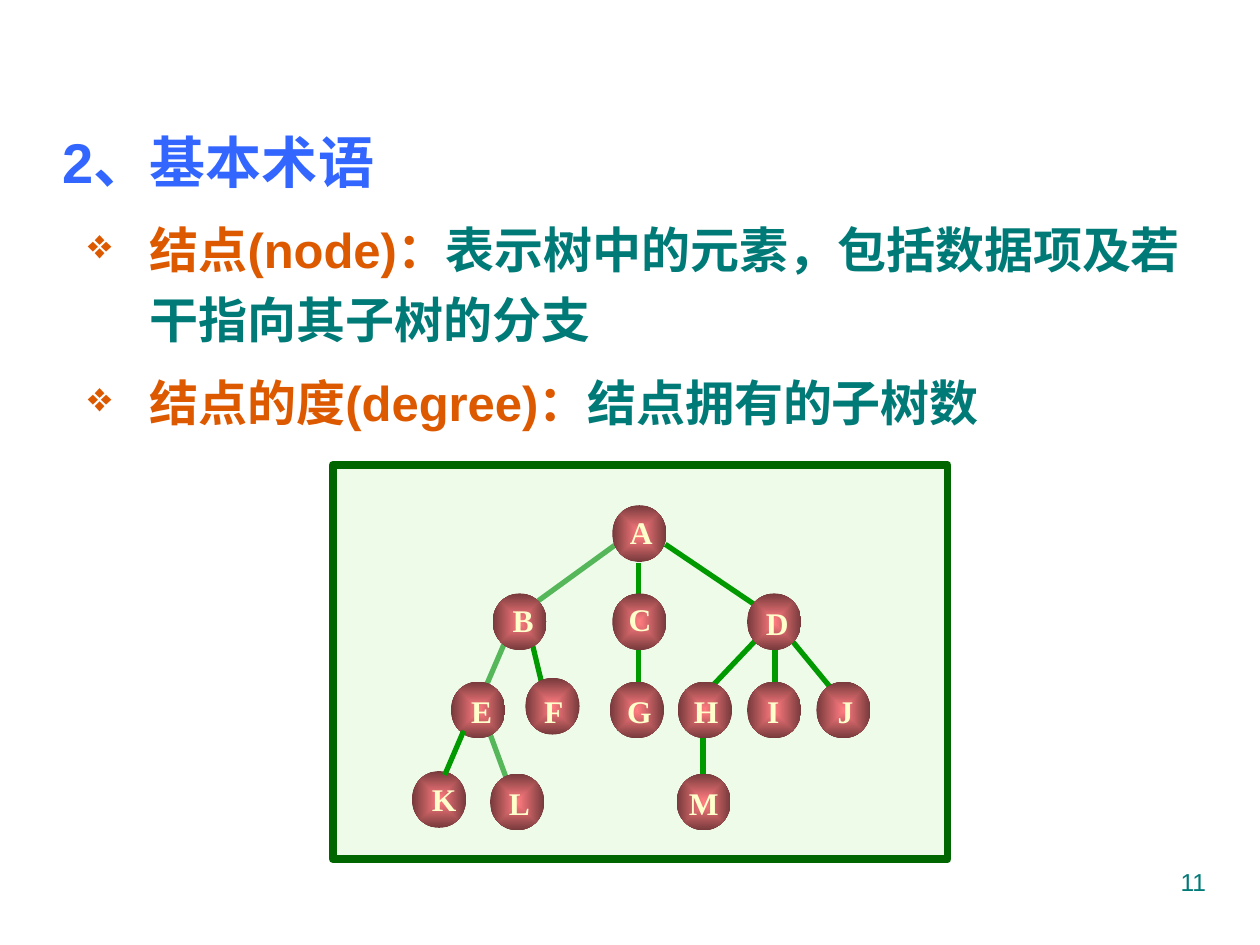
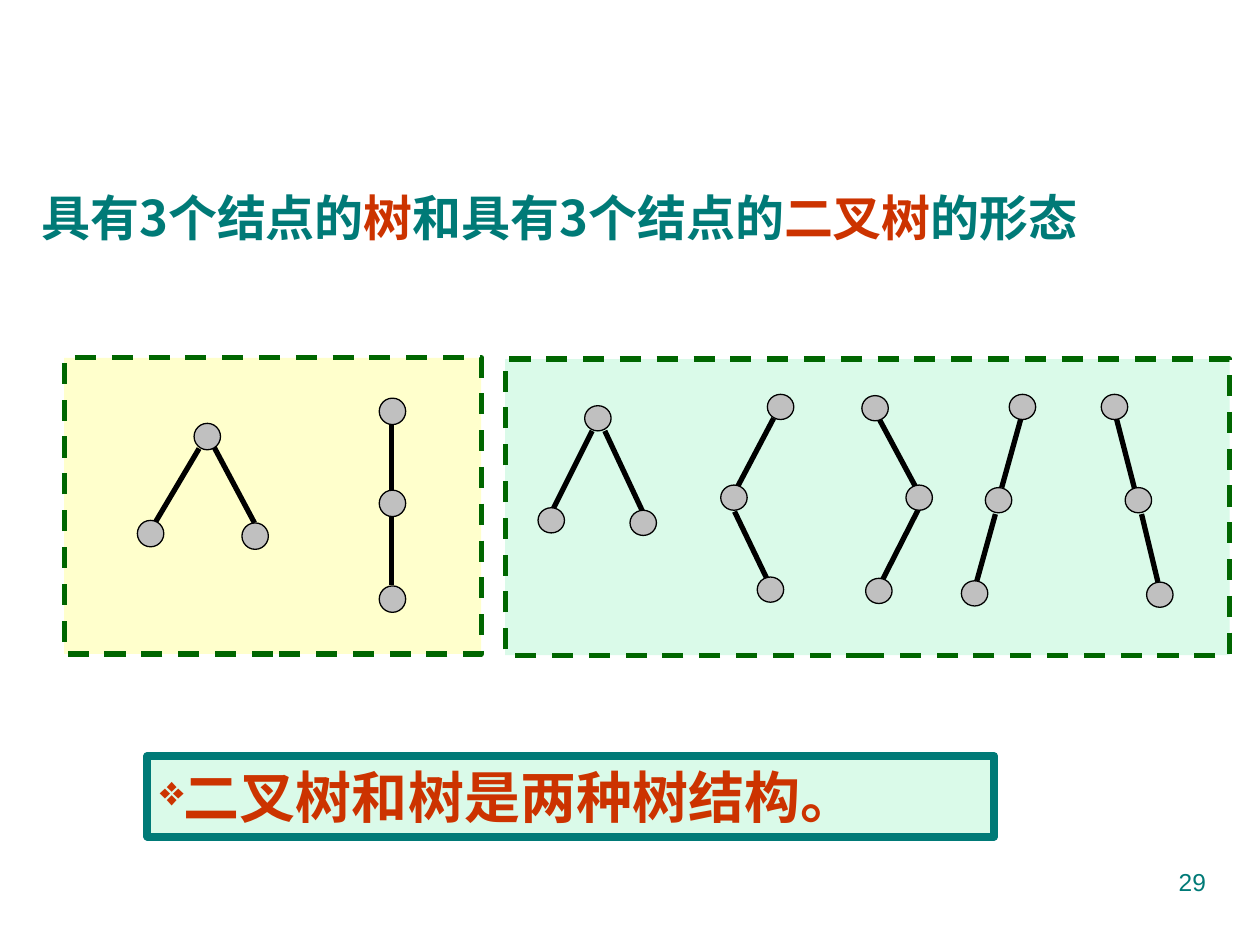
from lxml import etree
from pptx import Presentation
from pptx.dml.color import RGBColor
from pptx.enum.dml import MSO_LINE
from pptx.enum.shapes import MSO_CONNECTOR, MSO_SHAPE
from pptx.enum.text import MSO_ANCHOR, PP_ALIGN
from pptx.oxml import parse_xml
from pptx.oxml.ns import nsdecls, qn
from pptx.util import Inches, Pt

COLORS = {
    "heading": "3366FF", "term": "DC5900", "text": "007A77", "accent": "CC3300",
    "frame": "006600", "tree_panel": "EEFBE9", "mint": "DAFAE9", "cream": "FFFFCC",
    "branch": "009900", "trail": "55B75A", "node_core": "FF7C80", "node_rim": "76393B",
    "black": "000000", "gray": "C0C0C0",
}
SANS, SERIF, CJK = "Arial", "Times New Roman", "Noto Sans CJK SC"


def rgb(color):
    return RGBColor.from_string(COLORS[color])


class Deck:
    """Holds the style of the deck and the slide being built."""

    def __init__(self):
        self.prs = Presentation()
        self.prs.slide_width, self.prs.slide_height = Inches(10), Inches(7.5)
        self.slide = None

    def new_slide(self, number):
        self.slide = self.prs.slides.add_slide(self.prs.slide_layouts[6])
        footer = self.text_box(7.17, 6.83, 2.5, 0.52)
        self.set_text(footer.paragraphs[0], [(str(number), "text")], 14, SANS,
                      bold=False, align=PP_ALIGN.RIGHT)

    def text_box(self, left, top, width, height, anchor=MSO_ANCHOR.TOP):
        box = self.slide.shapes.add_textbox(*map(Inches, (left, top, width, height)))
        box.text_frame.word_wrap = True
        box.text_frame.vertical_anchor = anchor
        return box.text_frame

    def set_text(self, paragraph, runs, size, font, bold=True, align=PP_ALIGN.LEFT):
        """Fill a paragraph with (text, color) runs in one font."""
        paragraph.alignment = align
        paragraph.font.size, paragraph.font.bold = Pt(size), bold
        paragraph.font.name = font
        latin = paragraph._p.pPr.find(qn("a:defRPr")).find(qn("a:latin"))
        latin.addnext(parse_xml(f'<a:ea {nsdecls("a")} typeface="{CJK}"/>'))
        for text, color in runs:
            run = paragraph.add_run()
            run.text = text
            run.font.color.rgb = rgb(color)

    def indent(self, paragraph, margin, first=0):
        props = paragraph._p.get_or_add_pPr()
        props.set("marL", str(Inches(margin)))
        props.set("indent", str(Inches(first)))

    def bullet(self, paragraph, color, percent):
        props = paragraph._p.get_or_add_pPr()
        clr = etree.SubElement(props, qn("a:buClr"))
        etree.SubElement(clr, qn("a:srgbClr"), val=COLORS[color])
        etree.SubElement(props, qn("a:buSzPct"), val=str(percent * 1000))
        etree.SubElement(props, qn("a:buChar"), char="❖")

    def shape(self, kind, left, top, width, height, fill=None, line=None,
              weight=1, dashed=False):
        shape = self.slide.shapes.add_shape(
            kind, *map(Inches, (left, top, width, height)))
        shape.shadow.inherit = False
        if fill:
            shape.fill.solid()
            shape.fill.fore_color.rgb = rgb(fill)
        if line:
            shape.line.color.rgb = rgb(line)
            shape.line.width = Pt(weight)
            if dashed:
                shape.line.dash_style = MSO_LINE.DASH
        else:
            shape.line.fill.background()
        return shape

    def panel(self, left, top, width, height, fill, line, weight, dashed=False):
        return self.shape(MSO_SHAPE.RECTANGLE, left, top, width, height,
                          fill, line, weight, dashed)

    def glow_node(self, left, top):
        node = self.shape(MSO_SHAPE.OVAL, left, top, 0.43, 0.45)
        stops = "".join(
            f'<a:gs pos="{pos}"><a:srgbClr val="{COLORS[color]}"/></a:gs>'
            for pos, color in ((0, "node_core"), (100000, "node_rim")))
        gradient = parse_xml(
            f'<a:gradFill {nsdecls("a")} rotWithShape="0"><a:gsLst>{stops}</a:gsLst>'
            '<a:path path="rect"><a:fillToRect l="50000" t="50000" r="50000" b="50000"/>'
            '</a:path></a:gradFill>')
        node._element.spPr.find(qn("a:prstGeom")).addnext(gradient)

    def edge(self, x1, y1, x2, y2, color):
        line = self.slide.shapes.add_connector(
            MSO_CONNECTOR.STRAIGHT, *map(Inches, (x1, y1, x2, y2)))
        line.line.color.rgb = rgb(color)
        line.line.width = Pt(3)
        etree.SubElement(line._element.spPr, qn("a:effectLst"))

    def small_tree(self, nodes, edges, height):
        for ends in edges:
            self.edge(*ends, "black")
        for left, top in nodes:
            self.shape(MSO_SHAPE.OVAL, left, top, 0.21, height, "gray", "black", 0.75)


# Node letter: node left, node top, label left, label top
TREE_NODES = {
    "A": (4.86, 4.01, 4.9, 4.02),
    "B": (3.91, 4.71, 3.97, 4.72), "C": (4.86, 4.71, 4.89, 4.71),
    "D": (5.93, 4.71, 5.98, 4.74),
    "E": (3.58, 5.41, 3.64, 5.44), "F": (4.17, 5.38, 4.22, 5.44),
    "G": (4.84, 5.41, 4.88, 5.44), "H": (5.38, 5.41, 5.41, 5.44),
    "I": (5.93, 5.41, 5.99, 5.44), "J": (6.48, 5.41, 6.55, 5.44),
    "K": (3.27, 6.12, 3.33, 6.14), "L": (3.89, 6.14, 3.94, 6.17),
    "M": (5.37, 6.14, 5.37, 6.17),
}
TREE_BRANCHES = [
    (6.29, 5.09, 6.66, 5.54), (5.99, 5.09, 5.62, 5.48), (6.15, 5.16, 6.15, 5.48),
    (5.58, 5.86, 5.58, 6.24), (5.28, 4.32, 6.05, 4.84), (5.07, 4.47, 5.07, 5.86),
    (4.22, 5.09, 4.33, 5.55),
]
TRAIL_BRANCHES = [
    (4.89, 4.32, 4.27, 4.77), (4.01, 5.09, 3.86, 5.44), (3.88, 5.8, 4.02, 6.18),
]
E_TO_K = (3.68, 5.8, 3.53, 6.15)

# Each form: node corners, then edge ends
BINARY_TREES = [
    ([(4.64, 3.22), (4.27, 4.03), (5, 4.05)],
     [(4.7, 3.42, 4.38, 4.06), (4.8, 3.42, 5.1, 4.06)]),
    ([(6.09, 3.13), (5.72, 3.85), (6.01, 4.58)],
     [(6.14, 3.32, 5.85, 3.87), (5.83, 4.06, 6.09, 4.6)]),
    ([(6.84, 3.14), (7.19, 3.85), (6.87, 4.59)],
     [(6.98, 3.33, 7.27, 3.87), (7.29, 4.04, 6.99, 4.63)]),
    ([(8.01, 3.13), (7.82, 3.87), (7.63, 4.61)],
     [(8.1, 3.33, 7.95, 3.87), (7.9, 4.08, 7.75, 4.62)]),
    ([(8.74, 3.13), (8.93, 3.87), (9.1, 4.62)],
     [(8.86, 3.32, 9.01, 3.9), (9.06, 4.08, 9.19, 4.62)]),
]
PLAIN_TREES = [
    ([(1.54, 3.36), (1.09, 4.13), (1.92, 4.15)],
     [(1.58, 3.56, 1.23, 4.15), (1.7, 3.55, 2.02, 4.15)]),
    ([(3.01, 3.16), (3.01, 3.89), (3.01, 4.65)],
     [(3.11, 3.37, 3.11, 3.91), (3.11, 4.09, 3.11, 4.64)]),
]


def build_terms(deck):
    deck.new_slide(11)

    # Heading and definitions
    body = deck.text_box(0.2, 0.86, 9.46, 6.43)
    heading = body.paragraphs[0]
    deck.indent(heading, 0.2)
    deck.set_text(heading, [("2、基本术语", "heading")], 32, SANS)
    heading.line_spacing = 1.2
    definitions = [
        ("结点(node)：", "表示树中的元素，包括数据项及若干指向其子树的分支"),
        ("结点的度(degree)：", "结点拥有的子树数"),
    ]
    for term, meaning in definitions:
        definition = body.add_paragraph()
        deck.indent(definition, 0.89, -0.49)
        deck.bullet(definition, "term", 85)
        deck.set_text(definition, [(term, "term"), (meaning, "text")], 28, SANS)
        definition.line_spacing, definition.space_before = 1.2, Pt(7)

    # Example tree
    deck.panel(2.64, 3.69, 4.88, 3.13, "tree_panel", "frame", 4.5)
    for color, branches in (("branch", TREE_BRANCHES), ("trail", TRAIL_BRANCHES)):
        for ends in branches:
            deck.edge(*ends, color)
    for left, top, _, _ in TREE_NODES.values():
        deck.glow_node(left, top)
    for letter, (_, _, left, top) in TREE_NODES.items():
        label = deck.text_box(left, top, 0.4, 0.4, MSO_ANCHOR.MIDDLE)
        deck.set_text(label.paragraphs[0], [(letter, "cream")], 18, SERIF)
    deck.edge(*E_TO_K, "branch")


def build_tree_forms(deck):
    deck.new_slide(29)

    # Heading
    heading = deck.text_box(0.23, 1.44, 8.78, 0.57, MSO_ANCHOR.MIDDLE)
    deck.set_text(heading.paragraphs[0], [
        ("具有3个结点的", "text"), ("树", "accent"), ("和具有3个结点的", "text"),
        ("二叉树", "accent"), ("的形态", "text")], 28, CJK)

    # Binary trees on the right, plain trees on the left
    deck.panel(4.01, 2.85, 5.75, 2.35, "mint", "frame", 3, dashed=True)
    for nodes, edges in BINARY_TREES:
        deck.small_tree(nodes, edges, 0.2)
    deck.panel(0.51, 2.84, 3.31, 2.35, "cream", "frame", 3, dashed=True)
    for nodes, edges in PLAIN_TREES:
        deck.small_tree(nodes, edges, 0.21)

    # Conclusion
    conclusion = deck.panel(1.17, 6, 6.72, 0.64, "mint", "text", 4.5).text_frame
    conclusion.word_wrap = True
    conclusion.vertical_anchor = MSO_ANCHOR.TOP
    statement = conclusion.paragraphs[0]
    deck.bullet(statement, "accent", 75)
    deck.set_text(statement, [("二叉树和树是两种树结构。", "accent")], 32, SERIF)


def main():
    deck = Deck()
    build_terms(deck)
    build_tree_forms(deck)
    deck.prs.save("out.pptx")


if __name__ == "__main__":
    main()
